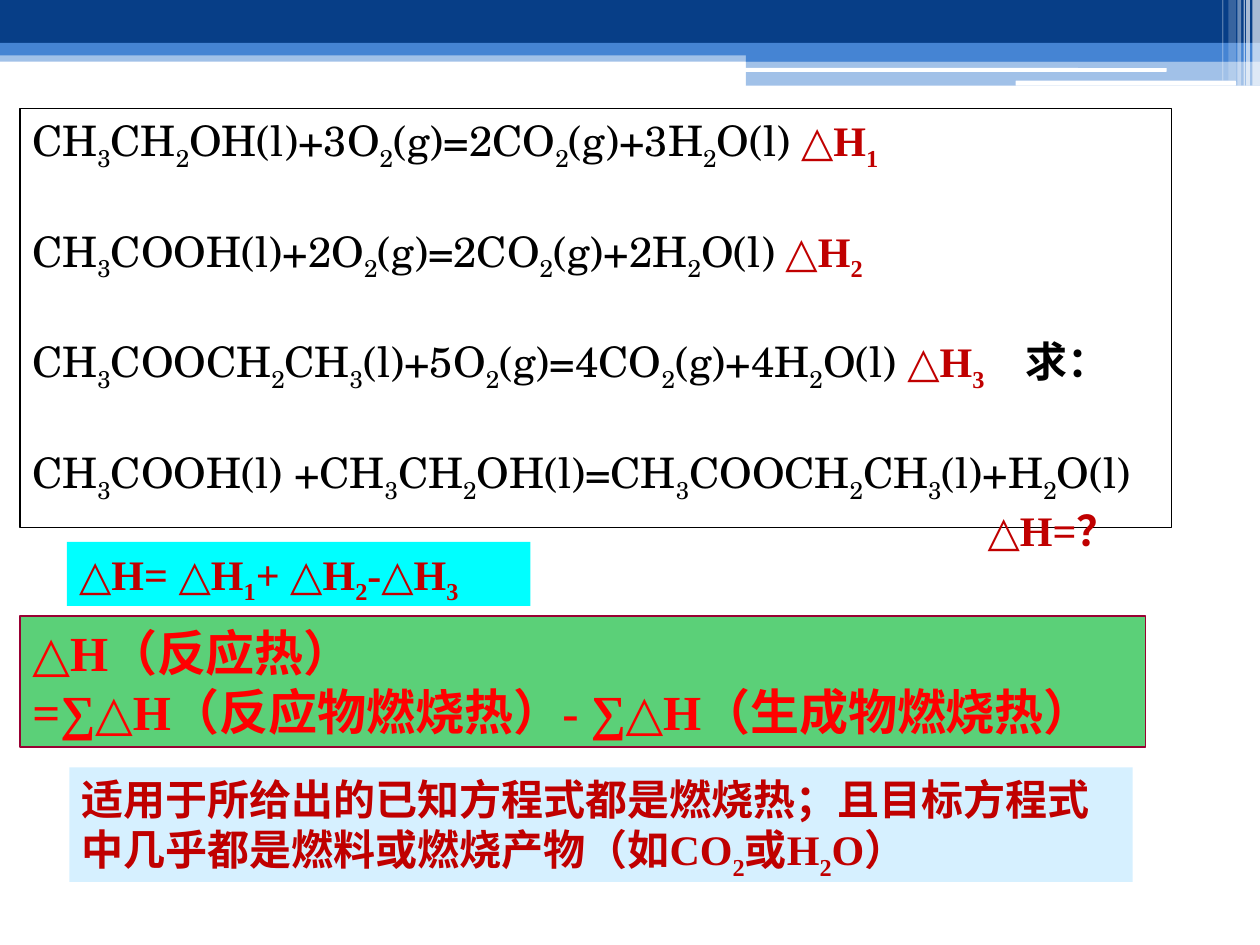
from lxml.etree import SubElement
from pptx import Presentation
from pptx.dml.color import RGBColor
from pptx.enum.shapes import MSO_SHAPE as SHAPE
from pptx.enum.text import MSO_ANCHOR as ANCHOR, PP_ALIGN as ALIGN
from pptx.oxml.ns import qn
from pptx.util import Inches, Pt

SERIF, SCHOOL = "Times New Roman", "TeX Gyre Schola"
BLACK, WHITE, BLUE, NAVY = "000000", "FFFFFF", "4584D3", "073E87"
PLAIN = (SCHOOL, BLACK, False)
STRONG = (SCHOOL, BLACK, True)
RED = (SERIF, "C00000", True)
BRIGHT = (SERIF, "FF0000", True)

BANDS = [
    ((0, 0.4, 10, 0.09), BLUE, 50),
    ((0, 0, 10, 0.34), NAVY, 100),
    ((0, 0.34, 10, 0.1), BLUE, 100),
    ((5.92, 0.39, 4.08, 0.1), BLUE, 100),
    ((5.92, 0.48, 4.08, 0.2), BLUE, 50),
]
PILLS = [(5.91, 0.54, 3.35, 0.03), (8.06, 0.64, 1.75, 0.04)]
STRIPES = [
    (9.94, 0.06, 0.68, 65),
    (9.89, 0.03, 0.68, 65),
    (9.87, 0.01, 0.68, 60),
    (9.82, 0.03, 0.68, 40),
    (9.75, 0.06, 0.64, 20),
    (9.7, 0.01, 0.64, 30),
]

EQUATIONS = [
    [("CH_3CH_2OH(l)+3O_2(g)=2CO_2(g)+3H_2O(l)", PLAIN), (" △H_1", RED)],
    [("CH_3COOH(l)+2O_2(g)=2CO_2(g)+2H_2O(l)", PLAIN), (" △H_2", RED)],
    [("CH_3COOCH_2CH_3(l)+5O_2(g)=4CO_2(g)+4H_2O(l)", PLAIN),
     (" △H_3", RED), ("\t求：", STRONG)],
    [("CH_3COOH(l) +CH_3CH_2OH(l)=CH_3COOCH_2CH_3(l)+H_2O(l)", PLAIN)],
    [("\t△H=？", RED)],
]
EQUATION_TABS = {2: 7.88, 4: 7.58}
EQUATION_GAPS = [0, 30.5, 30.5, 30.5, 0]
ANSWER = [[("△H= △H_1+ △H_2-△H_3", RED)]]
RULE = [
    [("△H（反应热）", BRIGHT)],
    [("=∑△H（反应物燃烧热）- ∑△H（生成物燃烧热）", BRIGHT)],
]
NOTE = [[("适用于所给出的已知方程式都是燃烧热；且目标方程式中几乎都是燃料或燃烧产物（如CO_2或H_2O）", RED)]]


def rgb(color):
    """Turn a hex string into a colour."""
    return RGBColor.from_string(color)


def add_box(s, at, fill=None, line=None, alpha=100, kind=SHAPE.RECTANGLE):
    """Add a flat shape with optional fill, outline and opacity."""
    sp = s.shapes.add_shape(kind, *map(Inches, at))
    sp.shadow.inherit = False
    if fill:
        sp.fill.solid()
        sp.fill.fore_color.rgb = rgb(fill)
        if alpha < 100:
            clr = sp.fill._xPr.find(qn("a:solidFill"))[0]
            SubElement(clr, qn("a:alpha"), val=str(alpha * 1000))
    else:
        sp.fill.background()
    if line:
        sp.line.color.rgb = rgb(line)
        sp.line.width = Pt(0.75)
    else:
        sp.line.fill.background()
    return sp


def add_run(p, text, style, size, base=0):
    """Add one styled run, lowered when base is negative."""
    if not text:
        return
    r = p.add_run()
    r.text = text
    font = r.font
    font.name, color, font.bold = style
    font.size = Pt(size)
    font.color.rgb = rgb(color)
    if base:
        r._r.get_or_add_rPr().set("baseline", str(base * 1000))


def write(sp, paragraphs, size=24, gaps=(), tabs={}):
    """Fill a shape with text; an underscore lowers the next character."""
    tf = sp.text_frame
    tf.word_wrap = True
    tf.vertical_anchor = ANCHOR.TOP
    for i, parts in enumerate(paragraphs):
        p = tf.paragraphs[0] if i == 0 else tf.add_paragraph()
        p.alignment = ALIGN.LEFT
        if i and gaps:
            p.space_before = Pt(gaps[i])
        if i in tabs:
            stops = SubElement(p._p.get_or_add_pPr(), qn("a:tabLst"))
            SubElement(stops, qn("a:tab"), pos=str(Inches(tabs[i])), algn="l")
        for text, style in parts:
            first, *rest = text.split("_")
            add_run(p, first, style, size)
            for piece in rest:
                add_run(p, piece[0], style, size, -25)
                add_run(p, piece[1:], style, size)


def main():
    """Build the slide and save it."""
    prs = Presentation()
    prs.slide_width, prs.slide_height = Inches(10), Inches(7.5)
    s = prs.slides.add_slide(prs.slide_layouts[6])
    for at, fill, alpha in BANDS:
        add_box(s, at, fill, alpha=alpha)
    for at in PILLS:
        add_box(s, at, WHITE, kind=SHAPE.ROUNDED_RECTANGLE)
    for left, width, height, alpha in STRIPES:
        add_box(s, (left, 0, width, height), WHITE, alpha=alpha)
    write(add_box(s, (0.16, 0.86, 9.14, 3.33), line=BLACK), EQUATIONS,
          gaps=EQUATION_GAPS, tabs=EQUATION_TABS)
    write(add_box(s, (0.53, 4.3, 3.68, 0.51), "00FFFF"), ANSWER)
    write(add_box(s, (0.16, 4.89, 8.93, 1.04), "5BD078", "990033"), RULE, 28)
    write(add_box(s, (0.55, 6.09, 8.44, 0.91), "D6F0FF"), NOTE)
    prs.save("out.pptx")


if __name__ == "__main__":
    main()
